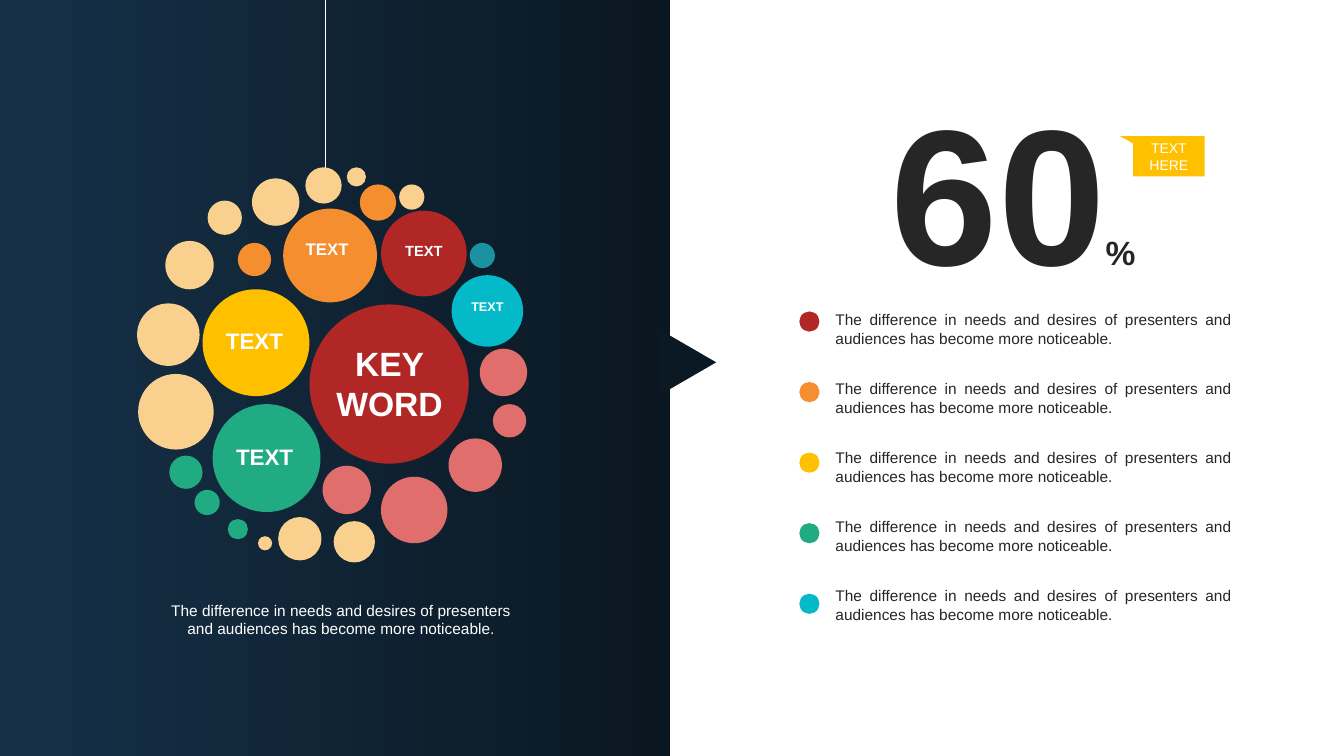
from dataclasses import dataclass

from pptx import Presentation
from pptx.dml.color import RGBColor
from pptx.enum.shapes import MSO_CONNECTOR, MSO_SHAPE
from pptx.enum.text import MSO_ANCHOR, MSO_AUTO_SIZE, PP_ALIGN
from pptx.oxml.ns import qn
from pptx.util import Inches, Pt
from lxml import etree

RECT, OVAL = MSO_SHAPE.RECTANGLE, MSO_SHAPE.OVAL
TRI, WEDGE = MSO_SHAPE.ISOSCELES_TRIANGLE, MSO_SHAPE.RIGHT_TRIANGLE
LINE = MSO_CONNECTOR.STRAIGHT
MIDDLE, GROW = MSO_ANCHOR.MIDDLE, MSO_AUTO_SIZE.SHAPE_TO_FIT_TEXT
CENTER, JUSTIFY = PP_ALIGN.CENTER, PP_ALIGN.JUSTIFY

COLS, ROWS = 133.33, 75
CELL = Inches(7.5) / ROWS


@dataclass(frozen=True)
class Theme:
    """Colours, font and type sizes of the slide."""
    font: str = "Arial"
    navy: str = "163048"
    night: str = "0A1721"
    arrow: str = "0B1924"
    ink: str = "262626"
    white: str = "FFFFFF"
    red: str = "B12725"
    orange: str = "F58E2E"
    yellow: str = "FFC000"
    green: str = "21AB82"
    cyan: str = "05BAC8"
    teal: str = "1A92A2"
    rose: str = "E06E6C"
    cream: str = "FAD08E"
    huge: float = 138
    head: float = 24
    body: float = 11
    tag: float = 10


THEME = Theme()
BLURB = ("The difference in needs and desires of presenters "
         "and audiences has become more noticeable.")
LEGEND = [THEME.red, THEME.orange, THEME.yellow, THEME.green, THEME.cyan]

BUBBLES = {
    THEME.red: [(17.1, 13.6, 15.8), (24.2, 4.3, 8.5)],
    THEME.orange: [(14.5, 4.1, 9.3), (10, 7.5, 3.3), (22.1, 1.7, 3.6)],
    THEME.yellow: [(6.5, 12.1, 10.6)],
    THEME.green: [(7.5, 23.5, 10.7), (3.2, 28.6, 3.3), (9, 34.9, 2),
                  (5.7, 32, 2.5)],
    THEME.cyan: [(31.2, 10.7, 7.1)],
    THEME.teal: [(33, 7.5, 2.5)],
    THEME.rose: [(24.2, 30.7, 6.6), (30.9, 26.9, 5.3), (18.4, 29.6, 4.8),
                 (35.3, 23.5, 3.3), (34, 18, 4.7)],
    THEME.cream: [(7, 3.3, 3.4), (2.8, 7.3, 4.8), (0, 13.5, 6.2),
                  (0.1, 20.5, 7.5), (19.5, 35.1, 4.1), (14, 34.7, 4.3),
                  (20.8, 0, 1.9), (11.4, 1.1, 4.7), (16.7, 0, 3.6),
                  (12, 36.6, 1.4), (26, 1.7, 2.5)],
}

LABELS = [
    ("KEY\nWORD", THEME.head, (17, 16.9, 16.1, 9.1)),
    ("TEXT", 16, (7.9, 26.9, 9.5, 3.7)),
    ("TEXT", 9, (31.5, 12.6, 6.5, 2.5)),
    ("TEXT", 16, (6.9, 15.4, 9.5, 3.7)),
    ("TEXT", 12, (13.9, 6.6, 9.9, 3)),
    ("TEXT", 10.5, (23.5, 6.9, 9.9, 2.8)),
]


def grid(*cells):
    """Turn grid cells into slide lengths."""
    return [round(cell * CELL) for cell in cells]


def paint(shapes, kind, box, color, turn=0):
    """Add a flat shape in one colour."""
    shape = shapes.add_shape(kind, *grid(*box))
    shape.shadow.inherit = False
    shape.fill.solid()
    shape.fill.fore_color.rgb = RGBColor.from_string(color)
    shape.line.fill.background()
    shape.rotation = turn
    return shape


def style(frame, size, color, align=CENTER, bold=False):
    """Format every run of a text frame."""
    frame.word_wrap = True
    for para in frame.paragraphs:
        para.alignment = align
        for run in para.runs:
            run.font.name = THEME.font
            run.font.size = Pt(size)
            run.font.bold = bold
            run.font.color.rgb = RGBColor.from_string(color)


def write(shapes, box, text, size, color, align=CENTER, bold=False):
    """Add a text box that grows with its text."""
    frame = shapes.add_textbox(*grid(*box)).text_frame
    frame.text = text
    style(frame, size, color, align, bold)
    frame.auto_size = GROW
    return frame


def panel(shapes, box):
    """Place the dark half with its gradient."""
    fill = paint(shapes, RECT, box, THEME.navy).fill
    fill.gradient()
    fill.gradient_angle = 0
    for stop, place, color in zip(fill.gradient_stops, (0, 1),
                                  (THEME.navy, THEME.night)):
        stop.position = place
        stop.color.rgb = RGBColor.from_string(color)


def thread(shapes, x, top, end):
    """Hang the thin line that holds the ball."""
    line = shapes.add_connector(LINE, *grid(x, top, x, end))
    line.line.color.rgb = RGBColor.from_string(THEME.white)
    line.line.width = Pt(0.5)
    etree.SubElement(line._element.spPr, qn("a:effectLst"))


def ball(shapes, box):
    """Place the ball of bubbles and its labels."""
    left, top = box[:2]
    group = shapes.add_group_shape().shapes
    for color, spots in BUBBLES.items():
        for x, y, size in spots:
            paint(group, OVAL, (left + x, top + y, size, size), color)
    for text, size, (x, y, wide, high) in LABELS:
        write(group, (left + x, top + y, wide, high), text, size,
              THEME.white, bold=True)


def score(shapes, box):
    """Place the big figure and its percent sign."""
    frame = write(shapes, box, "60", THEME.huge, THEME.ink, bold=True)
    para = frame.paragraphs[0]
    para.add_run().text = "%"
    style(frame, THEME.huge, THEME.ink, bold=True)
    para.runs[1].font.size = Pt(THEME.head)


def flag(shapes, box):
    """Place the small tag with its pointed corner."""
    left, top, wide, high = box
    group = shapes.add_group_shape().shapes
    paint(group, WEDGE, (left, top, 3.6, high / 2), THEME.yellow, 180)
    tag = paint(group, RECT, (left + 1.3, top, wide - 1.3, high), THEME.yellow)
    frame = tag.text_frame
    frame.text = "TEXT\nHERE"
    frame.vertical_anchor = MIDDLE
    style(frame, THEME.tag, THEME.white)


def legend(shapes, box):
    """Stack the coloured dots and their lines of text."""
    left, top, wide, high = box
    step = (high - 4.7) / (len(LEGEND) - 1)
    for row, color in enumerate(LEGEND):
        paint(shapes, OVAL, (left, top + 0.6 + 7 * row, 2, 2), color)
        write(shapes, (left + 2.6, top + step * row, wide - 2.6, 4.7),
              BLURB, THEME.body, THEME.ink, JUSTIFY)


def main():
    """Build the slide and save it."""
    deck = Presentation()
    deck.slide_width, deck.slide_height = grid(COLS, ROWS)
    shapes = deck.slides.add_slide(deck.slide_layouts[6]).shapes
    panel(shapes, (0, 0, 66.5, ROWS))
    score(shapes, (85.7, 6.7, 29.6, 24.2))
    thread(shapes, 32.3, 0, 18.3)
    ball(shapes, (13.6, 16.6, 38.7, 39.2))
    write(shapes, (15.2, 59.1, 37.3, 4.7), BLURB, THEME.body, THEME.white)
    paint(shapes, TRI, (64.9, 33.1, 6.6, 5.7), THEME.arrow, 90)
    flag(shapes, (111.1, 13.5, 8.4, 4))
    legend(shapes, (79.3, 30.3, 43.9, 32.1))
    deck.save("out.pptx")


if __name__ == "__main__":
    main()
